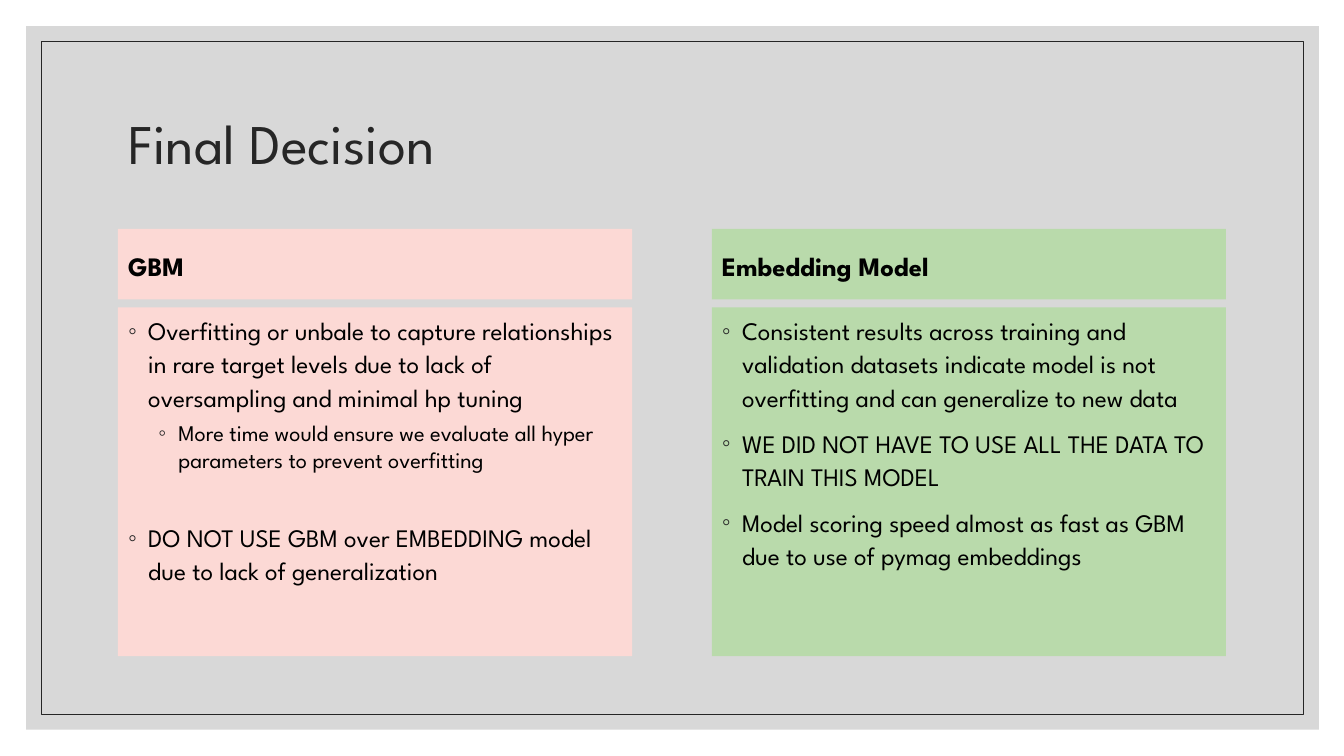
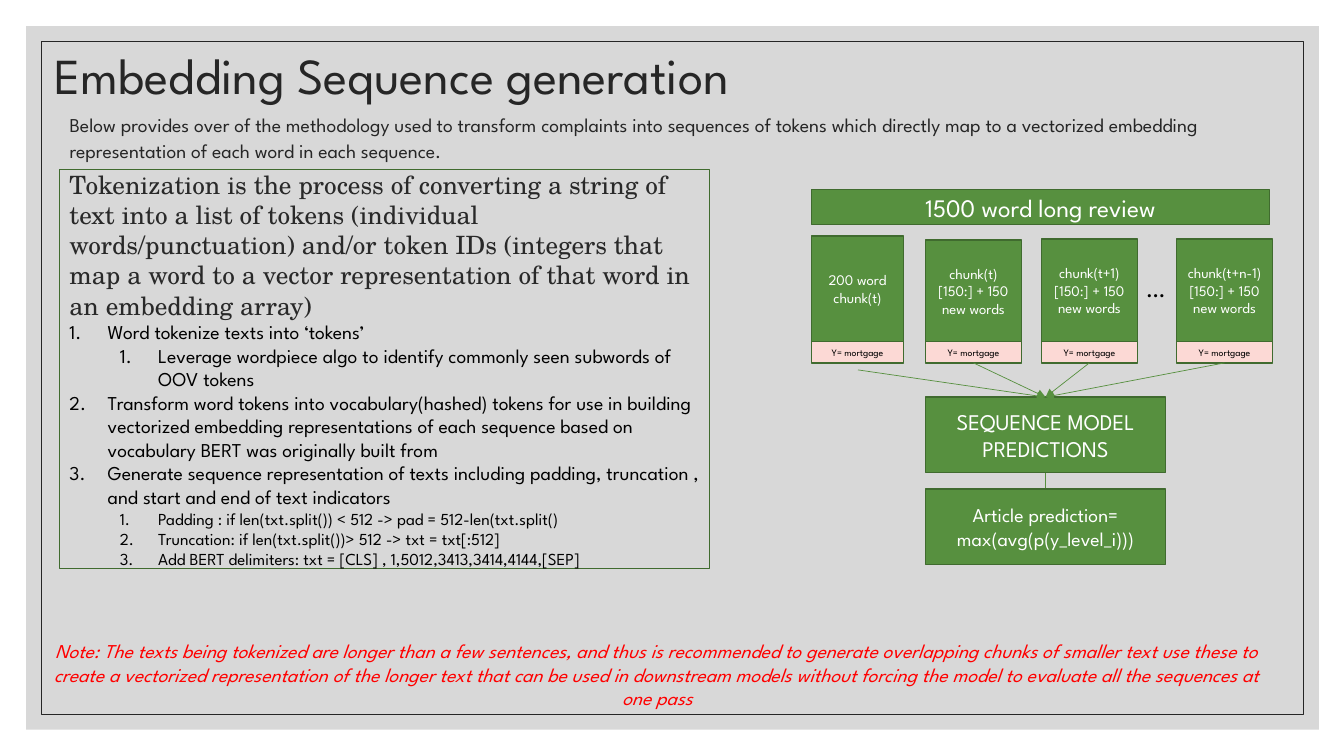
from dataclasses import dataclass
from typing import Any, Optional, Sequence

import lxml.etree
import pptx
import pptx.dml.color
import pptx.enum.shapes
import pptx.enum.text
import pptx.oxml.ns
import pptx.util

ALIGN = pptx.enum.text.PP_ALIGN
ANCHOR = pptx.enum.text.MSO_ANCHOR
FIT = pptx.enum.text.MSO_AUTO_SIZE
RECTANGLE = pptx.enum.shapes.MSO_SHAPE.RECTANGLE
STRAIGHT = pptx.enum.shapes.MSO_CONNECTOR.STRAIGHT
qn = pptx.oxml.ns.qn

EMU_PER_PX = 9144  # 100 px to the inch
TOP, BOTTOM = 0, 2  # connection sites of a rectangle


@dataclass(frozen=True)
class Theme:
    font: str = "League Spartan"
    serif: str = "TeX Gyre Schola"
    band: str = "BFBFBF"
    ink: str = "262626"
    quote: str = "292929"
    black: str = "000000"
    white: str = "FFFFFF"
    note: str = "FF0000"
    green: str = "57903F"
    dark_green: str = "406B2F"
    light_green: str = "B9DAAB"
    pink: str = "FCD9D5"
    title: float = 40
    small_title: float = 36
    heading: float = 19
    large: float = 18
    medium: float = 16
    normal: float = 14
    small: float = 12
    chunk: float = 10.5
    label: float = 7


THEME = Theme()


@dataclass(frozen=True)
class Area:
    left: int
    top: int
    width: int
    height: int


@dataclass(frozen=True)
class Item:
    text: str
    size: float
    level: int = 0
    before: float = 0


@dataclass(frozen=True)
class Column:
    left: int
    fill: str
    heading: str
    items: Sequence[Item]


@dataclass(frozen=True)
class Chunk:
    left: int
    top: int
    width: int
    text: str


COLUMNS = (
    Column(117, THEME.pink, "GBM", (
        Item("Overfitting or unbale to capture relationships in rare target levels due to lack of "
             "oversampling and minimal hp tuning", THEME.large, before=9),
        Item("More time would ensure we evaluate all hyper parameters to prevent overfitting",
             THEME.medium, level=1, before=5),
        Item("DO NOT USE GBM over EMBEDDING model due to lack of generalization",
             THEME.large, before=33),
    )),
    Column(706, THEME.light_green, "Embedding Model", (
        Item("Consistent results across training and validation datasets indicate model is not "
             "overfitting and can generalize to new data", THEME.large, before=9),
        Item("WE DID NOT HAVE TO USE ALL THE DATA TO TRAIN THIS MODEL", THEME.large, before=9),
        Item("Model scoring speed almost as fast as GBM due to use of pymag embeddings",
             THEME.large, before=9),
    )),
)

STEPS = (
    Item("Word tokenize texts into ‘tokens’", THEME.normal),
    Item("Leverage wordpiece algo to identify commonly seen subwords of OOV tokens",
         THEME.normal, level=1),
    Item("Transform word tokens into vocabulary(hashed) tokens for use in building vectorized "
         "embedding representations of each sequence based on vocabulary BERT was originally "
         "built from", THEME.normal),
    Item("Generate sequence representation of texts including padding, truncation , and start "
         "and end of text indicators", THEME.normal),
    Item("Padding : if len(txt.split()) < 512 -> pad = 512-len(txt.split()", THEME.small, level=1),
    Item("Truncation: if len(txt.split())> 512 -> txt = txt[:512]", THEME.small, level=1),
    Item("Add BERT delimiters: txt = [CLS] , 1,5012,3413,3414,4144,[SEP]", THEME.small, level=1),
)

CHUNKS = (
    Chunk(805, 234, 91, "200 word chunk(t)"),
    Chunk(918, 238, 95, "chunk(t)[150:] + 150 new words"),
    Chunk(1033, 237, 95, "chunk(t+1)[150:] + 150 new words"),
    Chunk(1167, 237, 95, "chunk(t+n-1)[150:] + 150 new words"),
)
CHUNK_BOTTOM = 339


def px(length: int) -> pptx.util.Emu:
    return pptx.util.Emu(length * EMU_PER_PX)


def rgb(colour: str) -> pptx.dml.color.RGBColor:
    return pptx.dml.color.RGBColor.from_string(colour)


def place(box: Any, area: Area) -> None:
    box.left, box.top = px(area.left), px(area.top)
    box.width, box.height = px(area.width), px(area.height)


def add_para(frame: Any, text: str, *, size: float, colour: str = THEME.black,
             font: str = THEME.font, bold: bool = False, italic: bool = False,
             align: Any = ALIGN.LEFT, spacing: float = 1.0, before: float = 0,
             level: int = 0, margin: int = 0, hang: int = 0,
             bullet: Optional[str] = None, numbered: bool = False) -> None:
    """Write text into the frame's unused first paragraph, or into a new one."""
    first = frame.paragraphs[0]
    para = frame.add_paragraph() if first.runs else first
    para.alignment, para.level = align, level
    para.line_spacing = spacing
    para.space_before = pptx.util.Pt(before)
    para.space_after = pptx.util.Pt(0)
    properties = para._p.get_or_add_pPr()
    properties.set("marL", str(px(margin)))
    properties.set("indent", str(px(-hang)))
    if bullet:
        tint = lxml.etree.SubElement(properties, qn("a:buClr"))
        lxml.etree.SubElement(tint, qn("a:srgbClr"), val=THEME.ink)
        lxml.etree.SubElement(properties, qn("a:buChar"), char=bullet)
    elif numbered:
        lxml.etree.SubElement(properties, qn("a:buFont"), typeface=THEME.font)
        lxml.etree.SubElement(properties, qn("a:buAutoNum"), type="arabicPeriod")
    else:
        lxml.etree.SubElement(properties, qn("a:buNone"))
    span = para.add_run()
    span.text = text
    span.font.name, span.font.size = font, pptx.util.Pt(size)
    span.font.bold, span.font.italic = bold, italic
    span.font.color.rgb = rgb(colour)


def prepare_frame(box: Any, anchor: Any, fit: Any = FIT.NONE) -> Any:
    frame = box.text_frame
    frame.word_wrap = True
    frame.auto_size = fit
    frame.vertical_anchor = anchor
    return frame


def add_box(page: Any, area: Area, *, fill: Optional[str] = None,
            line: Optional[str] = None, weight: float = 1) -> Any:
    box = page.shapes.add_shape(RECTANGLE, 0, 0, 0, 0)
    place(box, area)
    box.shadow.inherit = False
    if fill:
        box.fill.solid()
        box.fill.fore_color.rgb = rgb(fill)
    else:
        box.fill.background()
    if line:
        box.line.color.rgb = rgb(line)
        box.line.width = pptx.util.Pt(weight)
    else:
        box.line.fill.background()
    return box


def add_caption_box(page: Any, area: Area, text: str, size: float,
                    fill: str = THEME.green, colour: str = THEME.white) -> Any:
    box = add_box(page, area, fill=fill, line=THEME.dark_green)
    add_para(prepare_frame(box, ANCHOR.MIDDLE), text, size=size, colour=colour,
             align=ALIGN.CENTER)
    return box


def add_text(page: Any, area: Area, text: str, **style: Any) -> None:
    box = page.shapes.add_textbox(0, 0, 0, 0)
    place(box, area)
    add_para(prepare_frame(box, ANCHOR.TOP, FIT.SHAPE_TO_FIT_TEXT), text, **style)


def add_arrow(page: Any, start: tuple[int, int], end: tuple[int, int], *,
              source: Any = None, target: Any = None) -> None:
    """Draw an arrow, joined to source's bottom and target's top where given."""
    arrow = page.shapes.add_connector(STRAIGHT, *map(px, start + end))
    if source is not None:
        arrow.begin_connect(source, BOTTOM)
    if target is not None:
        arrow.end_connect(target, TOP)
    arrow.line.color.rgb = rgb(THEME.green)
    arrow.line.width = pptx.util.Pt(0.5)
    properties = arrow.element.spPr
    lxml.etree.SubElement(properties.find(qn("a:ln")), qn("a:tailEnd"), type="triangle")
    lxml.etree.SubElement(properties, qn("a:effectLst"))


def set_title(page: Any, area: Area, text: str, size: float) -> None:
    title = page.shapes.title
    place(title, area)
    add_para(prepare_frame(title, ANCHOR.MIDDLE), text, size=size, colour=THEME.ink, spacing=0.9)


def add_master_frame(deck: Any, page: Any) -> None:
    """Draw the band and its border, then move them behind the master's parts."""
    band = add_box(page, Area(26, 26, 1282, 698), fill=THEME.band)
    tint = next(band.element.spPr.iter(qn("a:srgbClr")))
    lxml.etree.SubElement(tint, qn("a:alpha"), val="60000")
    border = add_box(page, Area(41, 41, 1252, 668), line=THEME.ink, weight=0.5)
    tree = deck.slide_master.element.cSld.spTree
    for position, part in enumerate((band, border), start=2):
        tree.insert(position, part.element)


def fill_column(column: Column, header: Any, body: Any) -> None:
    for box, top, height in ((header, 227, 70), (body, 305, 346)):
        place(box, Area(column.left, top, 510, height))
        box.fill.solid()
        box.fill.fore_color.rgb = rgb(column.fill)
    add_para(prepare_frame(header, ANCHOR.MIDDLE), column.heading, size=THEME.heading,
             bold=True, spacing=1.1)
    frame = prepare_frame(body, ANCHOR.TOP)
    for item in column.items:
        add_para(frame, item.text, size=item.size, level=item.level, before=item.before,
                 spacing=1.0 if item.level else 1.1, margin=20 + 30 * item.level, hang=20,
                 bullet="◦")


def build_decision(page: Any) -> None:
    set_title(page, Area(117, 70, 1100, 150), "Final Decision", THEME.title)
    holders = {holder.placeholder_format.idx: holder for holder in page.placeholders}
    for index, column in enumerate(COLUMNS):
        fill_column(column, holders[2 * index + 1], holders[2 * index + 2])


def add_steps(page: Any) -> None:
    panel = add_box(page, Area(59, 168, 645, 396), line=THEME.dark_green)
    frame = prepare_frame(panel, ANCHOR.MIDDLE)
    add_para(frame, "Tokenization is the process of converting a string of text into a list of "
             "tokens (individual words/punctuation) and/or token IDs (integers that map a word to "
             "a vector representation of that word in an embedding array)",
             size=THEME.large, colour=THEME.quote, font=THEME.serif)
    for step in STEPS:
        add_para(frame, step.text, size=step.size, level=step.level,
                 margin=38 + 50 * step.level, hang=38, numbered=True)


def add_flow(page: Any) -> None:
    add_caption_box(page, Area(805, 188, 454, 35), "1500 word long review", THEME.large)
    for chunk in CHUNKS:
        area = Area(chunk.left, chunk.top, chunk.width, CHUNK_BOTTOM - chunk.top)
        add_caption_box(page, area, chunk.text, THEME.chunk)
    add_text(page, Area(1127, 265, 39, 40), "…", size=THEME.large)
    labels = [add_caption_box(page, Area(chunk.left, CHUNK_BOTTOM, chunk.width, 21),
                              "Y= mortgage", THEME.label, THEME.pink, THEME.black)
              for chunk in CHUNKS]
    model = add_caption_box(page, Area(918, 394, 238, 75), "SEQUENCE MODEL PREDICTIONS",
                            THEME.medium)
    add_arrow(page, (851, 367), (1037, 394), target=model)
    for label in labels[1:]:
        add_arrow(page, (0, 0), (0, 0), source=label, target=model)
    add_arrow(page, (1037, 469), (1037, 501), source=model)
    add_caption_box(page, Area(918, 485, 238, 75), "Article prediction= max(avg(p(y_level_i)))",
                    THEME.normal)


def build_sequence(page: Any) -> None:
    set_title(page, Area(44, 43, 854, 70), "Embedding Sequence generation", THEME.small_title)
    add_text(page, Area(27, 629, 1250, 81),
             "Note: The texts being tokenized are longer than a few sentences, and thus is "
             "recommended to generate overlapping chunks of smaller text use these to create a "
             "vectorized representation of the longer text that can be used in downstream models "
             "without forcing the model to evaluate all the sequences at one pass",
             size=THEME.normal, colour=THEME.note, italic=True, align=ALIGN.CENTER)
    body = page.placeholders[1]
    place(body, Area(59, 105, 1200, 57))
    add_para(prepare_frame(body, ANCHOR.TOP),
             "Below provides over of the methodology used to transform complaints into sequences "
             "of tokens which directly map to a vectorized embedding representation of each word "
             "in each sequence.", size=THEME.normal, colour=THEME.ink, spacing=1.1, before=9)
    add_steps(page)
    add_flow(page)


def main() -> None:
    deck = pptx.Presentation()
    deck.slide_width, deck.slide_height = px(1333), px(750)
    layouts = deck.slide_layouts
    decision = deck.slides.add_slide(layouts.get_by_name("Comparison"))
    add_master_frame(deck, decision)
    build_decision(decision)
    build_sequence(deck.slides.add_slide(layouts.get_by_name("Title and Content")))
    deck.save("out.pptx")


if __name__ == "__main__":
    main()
